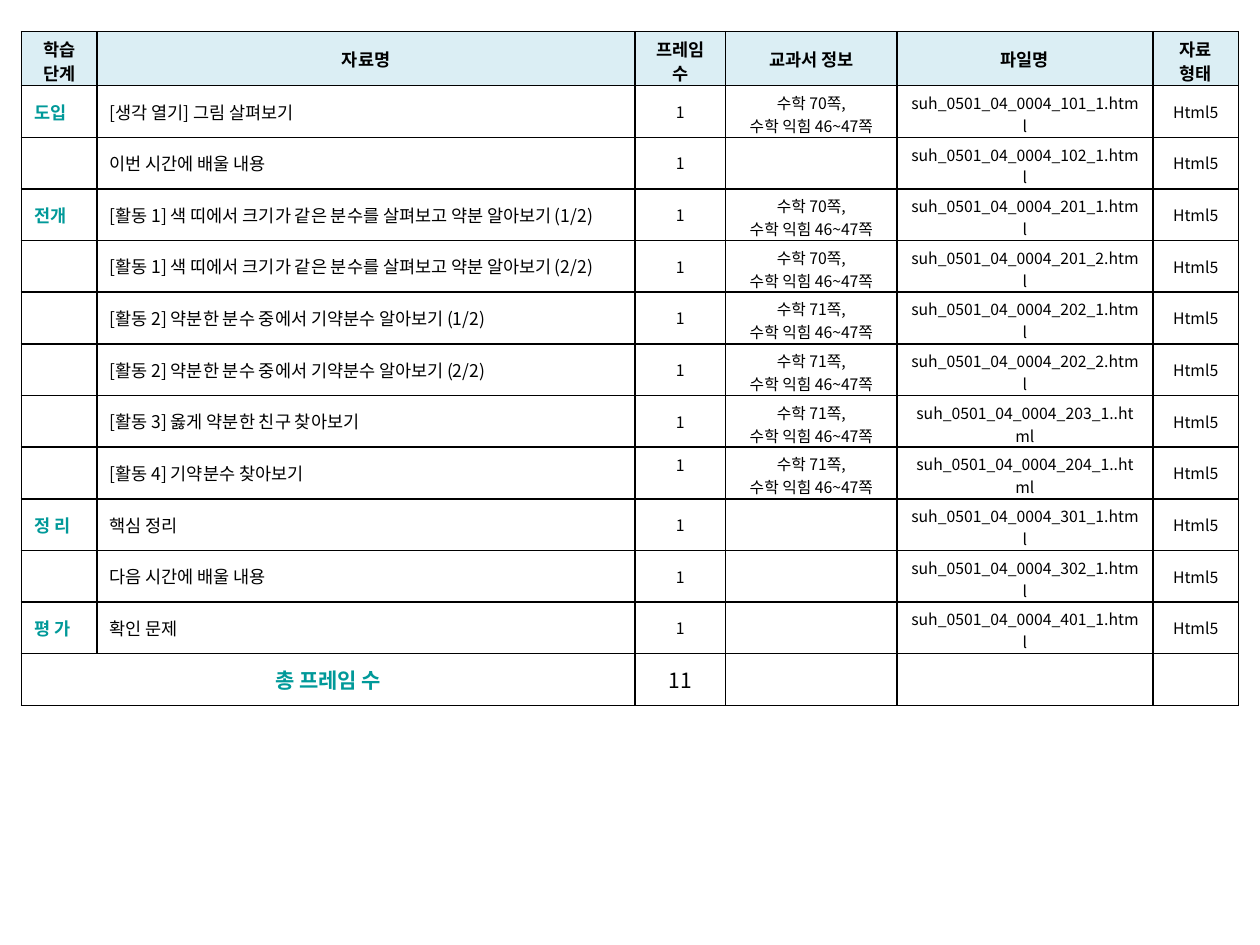
import pptx
import pptx.dml.color
import pptx.enum.text
import pptx.oxml
import pptx.oxml.ns
import pptx.util
from pptx.util import Inches

FONT = "Noto Sans CJK KR"
BLACK = pptx.dml.color.RGBColor(0x00, 0x00, 0x00)
TEAL = pptx.dml.color.RGBColor(0x00, 0x99, 0x99)
PALE_BLUE = pptx.dml.color.RGBColor(0xDB, 0xEE, 0xF4)
ALIGN = pptx.enum.text.PP_ALIGN
ANCHOR = pptx.enum.text.MSO_ANCHOR

HEADERS = ["학습 단계", "자료명", "프레임 수", "교과서 정보", "파일명", "자료\n형태"]
PAGE_70 = "수학 70쪽,\n수학 익힘 46~47쪽"
PAGE_71 = "수학 71쪽,\n수학 익힘 46~47쪽"
LESSONS = [
    ("도입", "[생각 열기] 그림 살펴보기", PAGE_70, "101_1."),
    ("", "이번 시간에 배울 내용", "", "102_1."),
    ("전개", "[활동 1] 색 띠에서 크기가 같은 분수를 살펴보고 약분 알아보기 (1/2)", PAGE_70, "201_1."),
    ("", "[활동 1] 색 띠에서 크기가 같은 분수를 살펴보고 약분 알아보기 (2/2)", PAGE_70, "201_2."),
    ("", "[활동 2] 약분한 분수 중에서 기약분수 알아보기 (1/2)", PAGE_71, "202_1."),
    ("", "[활동 2] 약분한 분수 중에서 기약분수 알아보기 (2/2)", PAGE_71, "202_2."),
    ("", "[활동 3] 옳게 약분한 친구 찾아보기", PAGE_71, "203_1.."),
    ("", "[활동 4] 기약분수 찾아보기", PAGE_71, "204_1.."),
    ("정 리", "핵심 정리", "", "301_1."),
    ("", "다음 시간에 배울 내용", "", "302_1."),
    ("평 가", "확인 문제", "", "401_1."),
]
TOTAL = ["총 프레임 수", "", str(len(LESSONS)), "", "", ""]

COLUMN_WIDTHS = [0.6, 4.27, 0.72, 1.36, 2.03, 0.68]
HEADER_HEIGHT, ROW_HEIGHT = 0.43, 0.41
STAGE_FORMAT = dict(size=10, color=TEAL, bold=True, align=ALIGN.JUSTIFY)
NAME_FORMAT = dict(size=10, align=ALIGN.LEFT)
TWO_LINE_FORMAT = dict(top=0.04, bottom=0)
HEADER_FORMAT = dict(size=10, bold=True, fill=PALE_BLUE)
TWO_LINE_HEADER_FORMAT = dict(HEADER_FORMAT, bottom=0, line_spacing=0.94)
HEADER_FORMATS = [TWO_LINE_HEADER_FORMAT, HEADER_FORMAT, TWO_LINE_HEADER_FORMAT,
                  HEADER_FORMAT, HEADER_FORMAT, TWO_LINE_HEADER_FORMAT]
LESSON_FORMATS = [STAGE_FORMAT, NAME_FORMAT, {}, TWO_LINE_FORMAT, TWO_LINE_FORMAT, {}]
TOTAL_FORMATS = [dict(size=12, color=TEAL, bold=True)] + [dict(size=12)] * 5


def add_borders(cell):
    properties = cell._tc.get_or_add_tcPr()
    for position, side in enumerate(("lnL", "lnR", "lnT", "lnB")):
        properties.insert(position, pptx.oxml.parse_xml(
            f'<a:{side} {pptx.oxml.ns.nsdecls("a")} w="12700"><a:solidFill>'
            f'<a:srgbClr val="{BLACK}"/></a:solidFill></a:{side}>'))


def write_cell(cell, text, size=9, color=BLACK, bold=False, align=ALIGN.CENTER,
               fill=None, top=0.05, bottom=0.05, line_spacing=None):
    cell.vertical_anchor = ANCHOR.MIDDLE
    cell.margin_top, cell.margin_bottom = Inches(top), Inches(bottom)
    if fill is None:
        cell.fill.background()
    else:
        cell.fill.solid()
        cell.fill.fore_color.rgb = fill
    add_borders(cell)
    cell.text = text
    for paragraph in cell.text_frame.paragraphs:
        paragraph.alignment = align
        paragraph.line_spacing = line_spacing
        for run in paragraph.runs:
            run.font.size = pptx.util.Pt(size)
            run.font.bold = bold
            run.font.name = FONT
            run.font.color.rgb = color
            run.font._element.set("kern", "0")
            east_asian = pptx.oxml.parse_xml(
                f'<a:ea {pptx.oxml.ns.nsdecls("a")} typeface="{FONT}"/>')
            run.font._element.append(east_asian)
        if not paragraph.runs:
            paragraph._p.append(pptx.oxml.parse_xml(
                f'<a:endParaRPr {pptx.oxml.ns.nsdecls("a")} sz="{size * 100}"/>'))


def main():
    presentation = pptx.Presentation()
    presentation.slide_width, presentation.slide_height = Inches(10), Inches(7.5)
    slide = presentation.slides.add_slide(presentation.slide_layouts[6])

    rows = [(HEADERS, HEADER_FORMATS)]
    for stage, name, pages, file_part in LESSONS:
        values = [stage, name, "1", pages, f"suh_0501_04_0004_{file_part}html", "Html5"]
        rows.append((values, LESSON_FORMATS))
    rows.append((TOTAL, TOTAL_FORMATS))

    heights = [HEADER_HEIGHT] + [ROW_HEIGHT] * (len(rows) - 1)
    table = slide.shapes.add_table(
        len(rows), len(HEADERS), Inches(0.17), Inches(0.25),
        Inches(sum(COLUMN_WIDTHS)), Inches(sum(heights))).table
    for column, width in zip(table.columns, COLUMN_WIDTHS):
        column.width = Inches(width)
    for row, height, (values, formats) in zip(table.rows, heights, rows):
        row.height = Inches(height)
        for cell, value, cell_format in zip(row.cells, values, formats):
            write_cell(cell, value, **cell_format)

    activity_4_row = len(LESSONS) - 3
    table.cell(activity_4_row, 2).vertical_anchor = ANCHOR.TOP
    table.cell(len(rows) - 1, 0).merge(table.cell(len(rows) - 1, 1))
    presentation.save("out.pptx")


if __name__ == "__main__":
    main()
